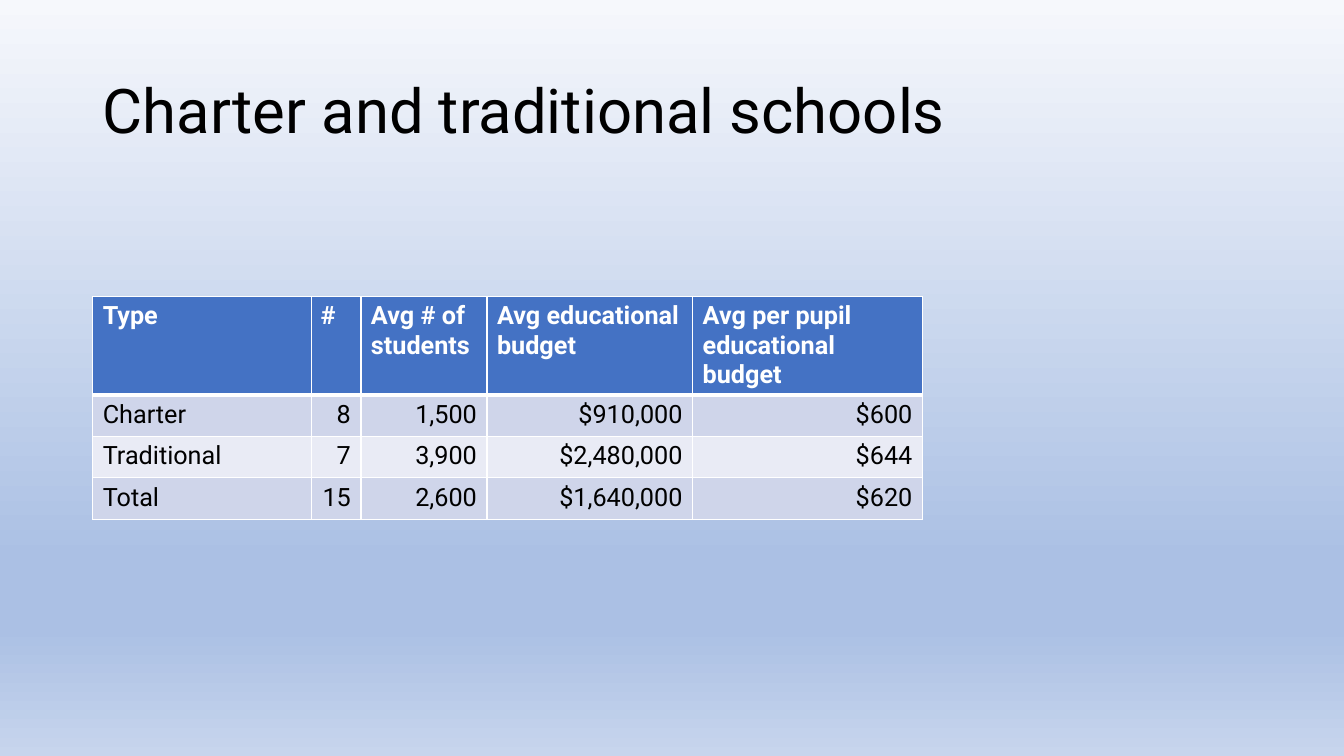
import dataclasses

import pptx
import pptx.dml.color
import pptx.enum.text
import pptx.oxml
import pptx.oxml.ns
import pptx.util

Inches = pptx.util.Inches
Pt = pptx.util.Pt
qn = pptx.oxml.ns.qn
ALIGN = pptx.enum.text.PP_ALIGN


@dataclasses.dataclass(frozen=True)
class Theme:
    font: str = "Roboto"
    title_size: int = 44
    table_size: int = 18
    text: str = "000000"
    inverse: str = "FFFFFF"
    header: str = "4472C4"
    bands: tuple = ("CFD5EA", "E9EBF5")
    border: str = "FFFFFF"
    background: tuple = ((0, "F6F8FC"), (74, "ABC0E4"), (83, "ABC0E4"), (100, "C7D5ED"))


THEME = Theme()

HEADINGS = ["Type", "#", "Avg # of students", "Avg educational budget",
            "Avg per pupil educational budget"]
SCHOOLS = [
    ["Charter", "8", "1,500", "$910,000", "$600"],
    ["Traditional", "7", "3,900", "$2,480,000", "$644"],
    ["Total", "15", "2,600", "$1,640,000", "$620"],
]
COLUMN_WIDTHS = [2.17, 0.49, 1.25, 2.04, 2.28]
HEADER_HEIGHT, ROW_HEIGHT = 0.98, 0.41


def rgb(color):
    return pptx.dml.color.RGBColor.from_string(color)


def write(tf, text, size, color=THEME.text, bold=False, align=ALIGN.LEFT, spacing=1.0):
    p = tf.paragraphs[0]
    p.alignment = align
    p.line_spacing = spacing
    r = p.add_run()
    r.text = text
    r.font.name = THEME.font
    r.font.size = Pt(size)
    r.font.bold = bold
    r.font.color.rgb = rgb(color)


def set_borders(cell, **widths):
    """Draw cell edges; widths in points are keyed L, R, T, B."""
    tcPr = cell._tc.get_or_add_tcPr()
    for i, side in enumerate("LRTB"):
        tcPr.insert(i, pptx.oxml.parse_xml(
            f'<a:ln{side} {pptx.oxml.ns.nsdecls("a")} w="{Pt(widths.get(side, 1))}">'
            f'<a:solidFill><a:srgbClr val="{THEME.border}"/></a:solidFill></a:ln{side}>'))


def paint_background(s):
    fill = s.background.fill
    fill.gradient()
    fill.gradient_angle = 270
    stops = next(s.element.iter(qn("a:gsLst")))
    for stop in list(stops):
        stops.remove(stop)
    for percent, color in THEME.background:
        stops.append(pptx.oxml.parse_xml(
            f'<a:gs {pptx.oxml.ns.nsdecls("a")} pos="{percent * 1000}">'
            f'<a:srgbClr val="{color}"/></a:gs>'))


def place_title(s, text, left, top, width, height):
    sp = s.shapes.title
    sp.left, sp.top = Inches(left), Inches(top)
    sp.width, sp.height = Inches(width), Inches(height)
    tf = sp.text_frame
    tf.auto_size = pptx.enum.text.MSO_AUTO_SIZE.NONE
    tf.vertical_anchor = pptx.enum.text.MSO_ANCHOR.MIDDLE
    write(tf, text, THEME.title_size, spacing=0.9)


def place_school_table(s, left, top):
    rows = [HEADINGS] + SCHOOLS
    height = HEADER_HEIGHT + ROW_HEIGHT * len(SCHOOLS)
    table = s.shapes.add_table(len(rows), len(HEADINGS), Inches(left), Inches(top),
                               Inches(sum(COLUMN_WIDTHS)), Inches(height)).table
    for column, width in zip(table.columns, COLUMN_WIDTHS):
        column.width = Inches(width)

    for i, values in enumerate(rows):
        is_header = i == 0
        table.rows[i].height = Inches(HEADER_HEIGHT if is_header else ROW_HEIGHT)
        for j, value in enumerate(values):
            cell = table.cell(i, j)
            # Slim side margins keep two-digit counts on one line
            if j == 1:
                cell.margin_left = Inches(0.09)
            cell.fill.solid()
            cell.fill.fore_color.rgb = rgb(THEME.header if is_header
                                           else THEME.bands[(i - 1) % 2])
            # A heavier rule separates the header from the data
            set_borders(cell, B=3 if is_header else 1, T=3 if i == 1 else 1)
            write(cell.text_frame, value, THEME.table_size, bold=is_header,
                  color=THEME.inverse if is_header else THEME.text,
                  align=ALIGN.LEFT if is_header or j == 0 else ALIGN.RIGHT)


def build_schools_slide(prs):
    s = prs.slides.add_slide(prs.slide_layouts[5])
    paint_background(s)
    place_title(s, "Charter and traditional schools", 0.92, 0.4, 11.5, 1.45)
    place_school_table(s, 0.92, 2.94)


def main():
    prs = pptx.Presentation()
    prs.slide_width, prs.slide_height = Inches(13.33), Inches(7.5)
    build_schools_slide(prs)
    prs.save("out.pptx")


if __name__ == "__main__":
    main()
